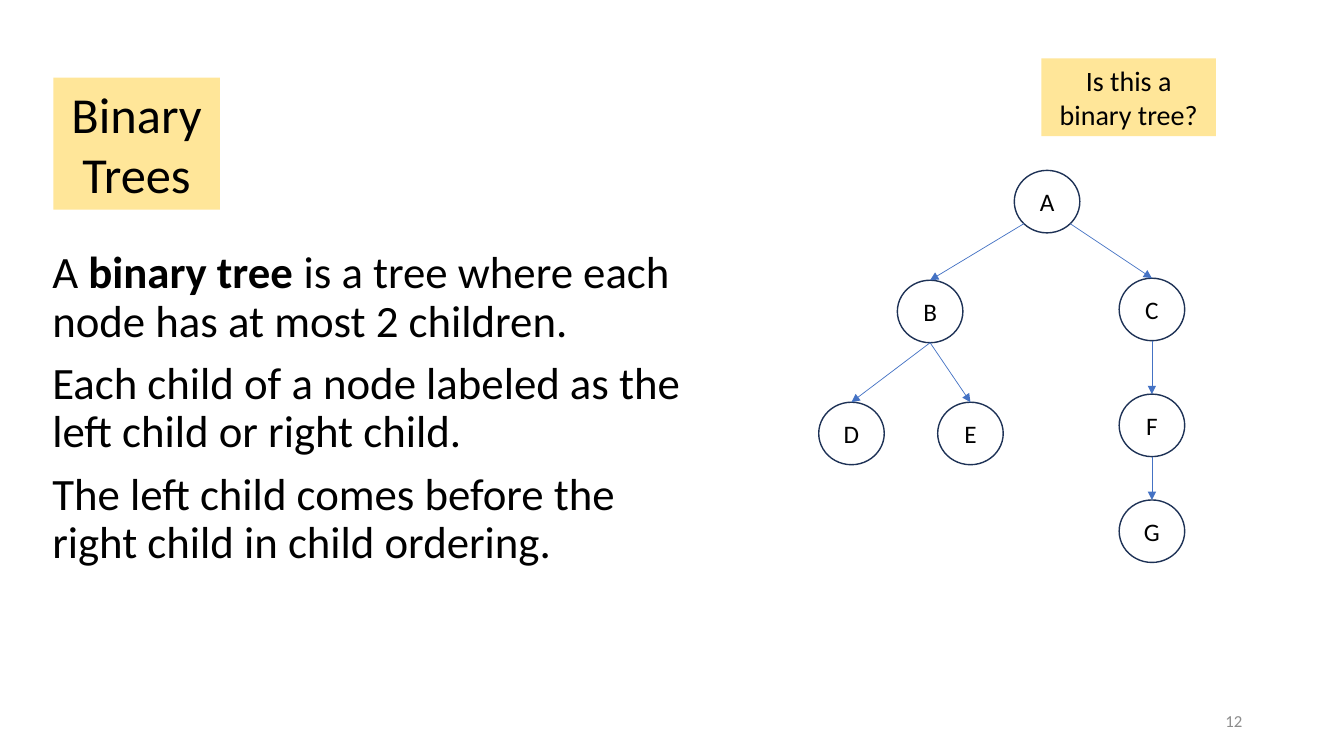
from math import sqrt

from lxml.etree import SubElement
from pptx import Presentation
from pptx.dml.color import RGBColor
from pptx.enum.shapes import MSO_CONNECTOR, MSO_SHAPE
from pptx.enum.text import MSO_ANCHOR, MSO_AUTO_SIZE, PP_ALIGN
from pptx.oxml.ns import qn
from pptx.util import Inches, Pt

FONT = "Calibri"
COLORS = {
    "text": "000000",
    "label": "FFE699",
    "node_line": "1E3256",
    "edge": "4472C4",
    "number": "8C8C8C",
}

TITLE = "Binary Trees"
QUESTION = "Is this a binary tree?"
PAGE_NUMBER = "12"
# Each paragraph is a list of (text, bold) runs.
DEFINITIONS = [
    [("A ", False), ("binary tree ", True),
     ("is a tree where each node has at most 2 children.", False)],
    [("Each child of a node labeled as the left child or right child.", False)],
    [("The left child comes before the right child in child ordering.", False)],
]

NODE_WIDTH, NODE_HEIGHT = 0.65, 0.62
# Left and top of each node, in inches.
NODES = {
    "A": (10.06, 1.69),
    "B": (8.9, 2.78),
    "C": (11.1, 2.76),
    "D": (8.12, 3.99),
    "E": (9.3, 3.99),
    "F": (11.1, 3.91),
    "G": (11.1, 4.96),
}
# Parent, child, and the side of the parent the arrow leaves: -1 left, 0 middle, 1 right.
EDGES = [("A", "B", -1), ("A", "C", 1), ("B", "D", 0),
         ("B", "E", 0), ("C", "F", 0), ("F", "G", 0)]


def color(name):
    return RGBColor.from_string(COLORS[name])


def format_runs(paragraph, size, name="text"):
    for span in paragraph.runs:
        span.font.name = FONT
        span.font.size = Pt(size)
        span.font.color.rgb = color(name)


def set_text(shape, text, size, name="text", align=PP_ALIGN.CENTER,
             anchor=MSO_ANCHOR.MIDDLE):
    frame = shape.text_frame
    frame.text = text
    frame.word_wrap = True
    frame.auto_size = MSO_AUTO_SIZE.NONE
    frame.vertical_anchor = anchor
    frame.paragraphs[0].alignment = align
    format_runs(frame.paragraphs[0], size, name)


def add_title(page):
    title = page.shapes.title
    title.left, title.top = Inches(0.53), Inches(0.77)
    title.width, title.height = Inches(1.65), Inches(1.31)
    title.fill.solid()
    title.fill.fore_color.rgb = color("label")
    set_text(title, TITLE, 36, anchor=MSO_ANCHOR.TOP)


def add_definitions(page):
    box = page.shapes.add_textbox(Inches(0.42), Inches(2.43), Inches(6.59), Inches(3.79))
    frame = box.text_frame
    frame.word_wrap = True
    for index, runs in enumerate(DEFINITIONS):
        para = frame.add_paragraph() if index else frame.paragraphs[0]
        para.line_spacing = 0.9
        para.space_before = Pt(10 if index else 0)
        for text, bold in runs:
            span = para.add_run()
            span.text = text
            span.font.bold = bold
        format_runs(para, 32)


def add_node(page, letter):
    left, top = NODES[letter]
    node = page.shapes.add_shape(MSO_SHAPE.OVAL, Inches(left), Inches(top),
                                 Inches(NODE_WIDTH), Inches(NODE_HEIGHT))
    node.shadow.inherit = False
    node.fill.background()
    node.line.color.rgb = color("node_line")
    node.line.width = Pt(1)
    set_text(node, letter, 18)


def add_edge(page, parent, child, side):
    """Draw an arrow from the lower rim of the parent to the top of the child."""
    left, top = NODES[parent]
    drop = 1 / sqrt(2) if side else 1
    start_x = left + NODE_WIDTH / 2 * (1 + side * drop)
    start_y = top + NODE_HEIGHT / 2 * (1 + drop)
    child_left, child_top = NODES[child]
    edge = page.shapes.add_connector(
        MSO_CONNECTOR.STRAIGHT, Inches(start_x), Inches(start_y),
        Inches(child_left + NODE_WIDTH / 2), Inches(child_top))
    edge.line.color.rgb = color("edge")
    edge.line.width = Pt(0.5)
    SubElement(edge.line._get_or_add_ln(), qn("a:tailEnd"), type="triangle")
    SubElement(edge._element.spPr, qn("a:effectLst"))


def add_question(page):
    label = page.shapes.add_shape(MSO_SHAPE.RECTANGLE, Inches(10.33), Inches(0.58),
                                  Inches(1.73), Inches(0.77))
    label.shadow.inherit = False
    label.fill.solid()
    label.fill.fore_color.rgb = color("label")
    label.line.fill.background()
    set_text(label, QUESTION, 20, anchor=MSO_ANCHOR.TOP)


def add_page_number(page):
    box = page.shapes.add_textbox(Inches(9.42), Inches(6.95), Inches(3), Inches(0.4))
    set_text(box, PAGE_NUMBER, 12, "number", PP_ALIGN.RIGHT)


def main():
    deck = Presentation()
    deck.slide_width, deck.slide_height = Inches(13.33), Inches(7.5)
    page = deck.slides.add_slide(deck.slide_layouts[5])
    add_title(page)
    add_definitions(page)
    for letter in NODES:
        add_node(page, letter)
    for parent, child, side in EDGES:
        add_edge(page, parent, child, side)
    add_question(page)
    add_page_number(page)
    deck.save("out.pptx")


if __name__ == "__main__":
    main()
